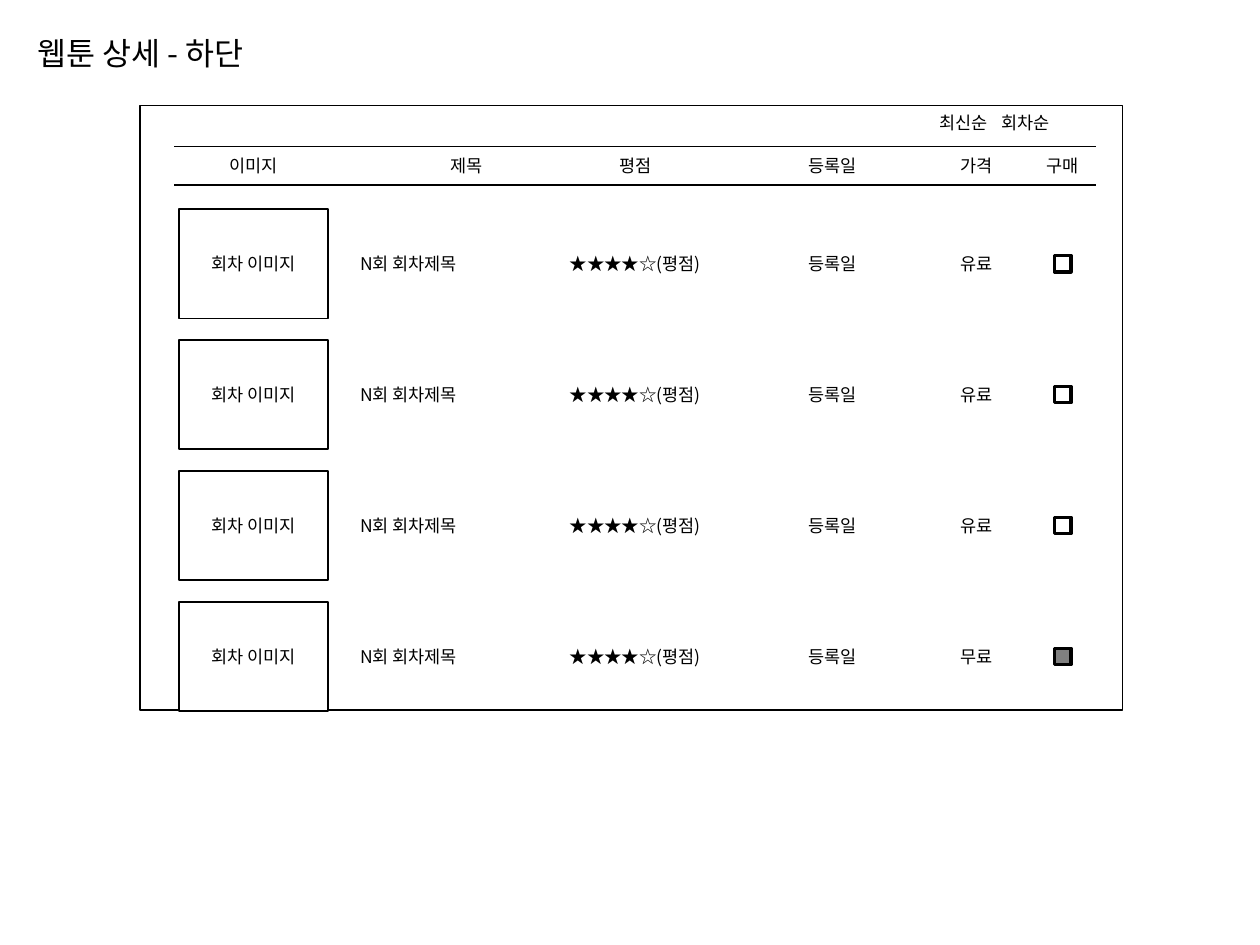
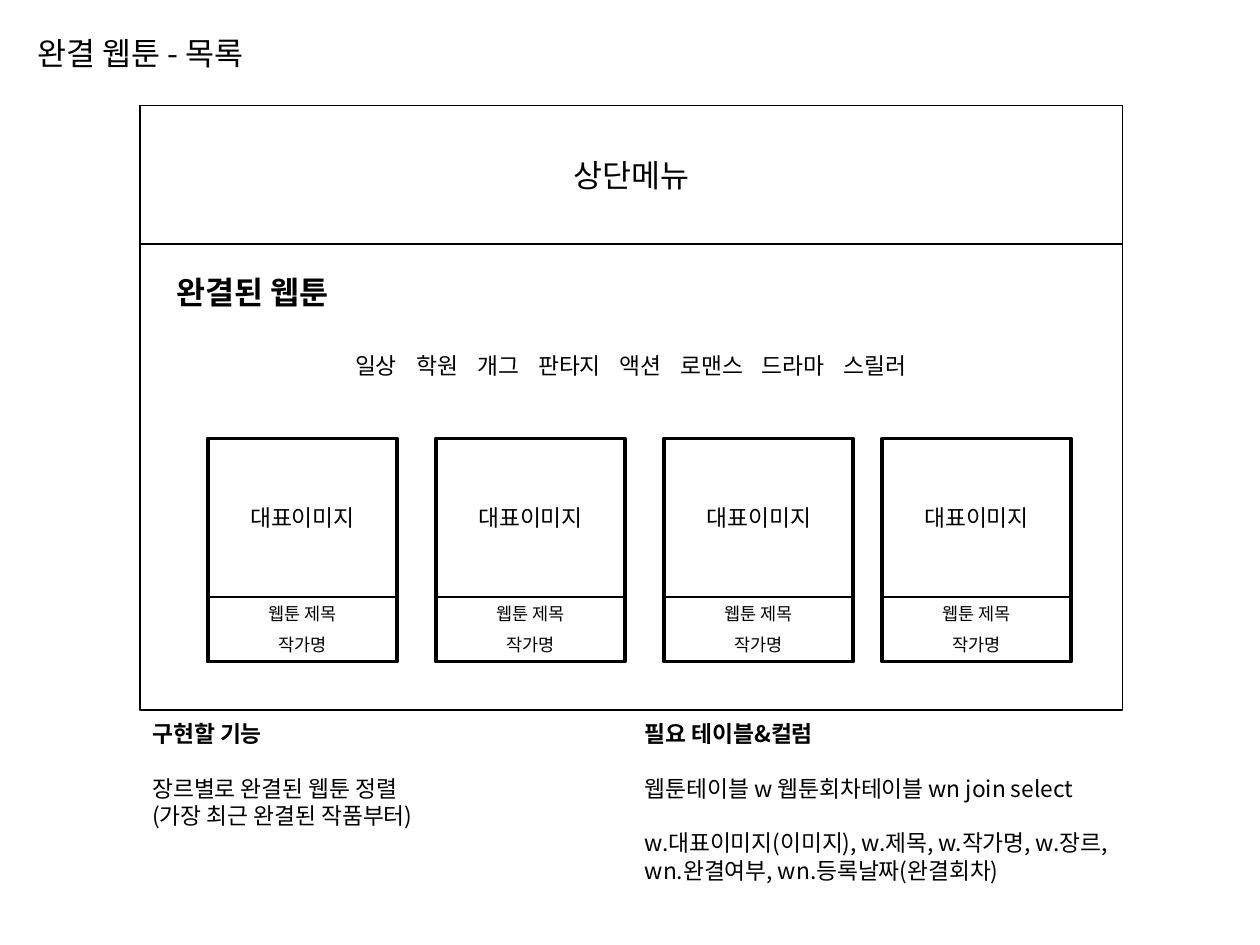
from lxml import etree
from pptx import Presentation
from pptx.dml.color import RGBColor
from pptx.enum.shapes import MSO_CONNECTOR, MSO_SHAPE
from pptx.enum.text import MSO_ANCHOR, MSO_AUTO_SIZE, PP_ALIGN
from pptx.oxml.ns import qn
from pptx.util import Cm, Pt

RECTANGLE = MSO_SHAPE.RECTANGLE
STRAIGHT = MSO_CONNECTOR.STRAIGHT
LEFT, CENTER = PP_ALIGN.LEFT, PP_ALIGN.CENTER
TOP, MIDDLE = MSO_ANCHOR.TOP, MSO_ANCHOR.MIDDLE
GROW = MSO_AUTO_SIZE.SHAPE_TO_FIT_TEXT

COLORS = {"ink": "000000", "paper": "FFFFFF", "checked": "808080"}
FONT = "Noto Sans CJK KR"
SMALL, MEDIUM, LARGE = 10, 13, 18
LINE_HEIGHT = {SMALL: 0.69, MEDIUM: 0.81, LARGE: 1.02}
BLANK_LINE = 15.7
FRAME_LEFT, FRAME_TOP, FRAME_WIDTH, FRAME_HEIGHT = 2.82, 2.13, 19.81, 12.19


def color(name):
    return RGBColor.from_string(COLORS[name])


class Wireframe:
    def __init__(self, presentation):
        self.presentation = presentation
        self.slide = None

    def page(self, title):
        layout = self.presentation.slide_layouts[6]
        self.slide = self.presentation.slides.add_slide(layout)
        self.box(FRAME_LEFT, FRAME_TOP, FRAME_WIDTH, FRAME_HEIGHT)
        self.text(0.51, 0.56, 8.41, title, size=LARGE)

    def fill_paragraph(self, paragraph, text, size, bold=False, align=LEFT, gap=0, tabs=()):
        paragraph.alignment = align
        if gap:
            paragraph.space_before = Pt(gap)
        if tabs:
            tab_list = etree.SubElement(paragraph._p.get_or_add_pPr(), qn("a:tabLst"))
            for position in tabs:
                etree.SubElement(tab_list, qn("a:tab"), pos=str(Cm(position)), algn="l")
        run = paragraph.add_run()
        run.text = text
        run.font.color.rgb = color("ink")
        for name, value in {"size": Pt(size), "bold": bold, "name": FONT}.items():
            setattr(run.font, name, value)
        etree.SubElement(run._r.get_or_add_rPr(), qn("a:ea"), typeface=FONT)

    def box(self, left, top, width, height, text="", size=SMALL, fill="paper", weight=1):
        shape = self.slide.shapes.add_shape(
            RECTANGLE, Cm(left), Cm(top), Cm(width), Cm(height))
        shape.shadow.inherit = False
        if fill:
            shape.fill.solid()
            shape.fill.fore_color.rgb = color(fill)
        else:
            shape.fill.background()
        shape.line.color.rgb = color("ink")
        shape.line.width = Pt(weight)
        if text:
            shape.text_frame.vertical_anchor = MIDDLE
            self.fill_paragraph(shape.text_frame.paragraphs[0], text, size, align=CENTER)

    def frame(self, left, top, width, height, inset=0.25):
        shape = self.slide.shapes.add_textbox(Cm(left), Cm(top), Cm(width), Cm(height))
        text_frame = shape.text_frame
        settings = {"word_wrap": True, "auto_size": GROW,
                    "vertical_anchor": TOP, "margin_left": Cm(inset)}
        for name, value in settings.items():
            setattr(text_frame, name, value)
        return text_frame

    def text(self, left, top, width, text, size=SMALL, inset=0.25, **style):
        text_frame = self.frame(left, top, width, LINE_HEIGHT[size], inset)
        self.fill_paragraph(text_frame.paragraphs[0], text, size, **style)

    def note(self, left, width, height, heading, blocks):
        text_frame = self.frame(left, 14.38, width, height)
        self.fill_paragraph(text_frame.paragraphs[0], heading, MEDIUM, bold=True)
        for block in blocks:
            for index, line in enumerate(block):
                gap = 0 if index else BLANK_LINE
                self.fill_paragraph(text_frame.add_paragraph(), line, MEDIUM, gap=gap)

    def rule(self, left, right, y):
        line = self.slide.shapes.add_connector(
            STRAIGHT, Cm(left), Cm(y), Cm(right), Cm(y))
        line.line.color.rgb = color("ink")
        line.line.width = Pt(0.75)
        etree.SubElement(line._element.spPr, qn("a:effectLst"))


def episode_list(wireframe):
    wireframe.page("웹툰 상세 - 하단")
    wireframe.text(18.69, FRAME_TOP, 3.4, "최신순\t회차순", tabs=[1.25])
    for y in (2.95, 3.73):
        wireframe.rule(3.51, 22.1, y)

    columns = {"이미지": (3.61, 3.0), "제목": (7.01, 4.8), "평점": (10.9, 3.81),
               "등록일": (15.09, 3.4), "가격": (18.49, 2.41), "구매": (20.22, 2.41)}
    for heading, (left, width) in columns.items():
        wireframe.text(left, 3.0, width, heading, align=CENTER)

    for row, price in enumerate(["유료", "유료", "유료", "무료"]):
        top = 4.22 + row * 2.64
        image_left, image_width = columns["이미지"]
        wireframe.box(image_left, top, image_width, 2.2, "회차 이미지")
        cells = {"제목": ("N회 회차제목", LEFT), "평점": ("★★★★☆(평점)", CENTER),
                 "등록일": ("등록일", CENTER), "가격": (price, CENTER)}
        for heading, (value, align) in cells.items():
            left, width = columns[heading]
            wireframe.text(left, top + 0.76, width, value, align=align)
        fill = "checked" if price == "무료" else "paper"
        wireframe.box(21.26, top + 0.93, 0.33, 0.33, fill=fill, weight=2)


def finished_list(wireframe):
    wireframe.page("완결 웹툰 - 목록")
    wireframe.box(FRAME_LEFT, FRAME_TOP, FRAME_WIDTH, 2.79, "상단메뉴", LARGE)
    wireframe.text(3.3, 5.38, 4.09, "완결된 웹툰", size=LARGE, bold=True)

    genres = ["일상", "학원", "개그", "판타지", "액션", "로맨스", "드라마", "스릴러"]
    tabs, position = [], 0
    for genre in genres[:-1]:
        position += 0.41 * len(genre) + 0.41
        tabs.append(position)
    wireframe.text(4.52, 6.96, 16.41, "\t".join(genres), size=MEDIUM, inset=2.64, tabs=tabs)

    card_top, card_width = 8.84, 3.81
    for left in (4.19, 8.79, 13.39, 17.78):
        wireframe.box(left, card_top, card_width, 3.2, "대표이미지", MEDIUM)
        wireframe.text(left, 12.04, card_width, "웹툰 제목", align=CENTER)
        wireframe.text(left, 12.65, card_width, "작가명", align=CENTER)
        wireframe.box(left, card_top, card_width, 4.5, fill=None, weight=2)

    wireframe.note(FRAME_LEFT, 9.9, 3.02, "구현할 기능", [
        ["장르별로 완결된 웹툰 정렬", "(가장 최근 완결된 작품부터)"]])
    wireframe.note(12.75, 9.88, 4.14, "필요 테이블&컬럼", [
        ["웹툰테이블 w 웹툰회차테이블 wn join select"],
        ["w.대표이미지(이미지), w.제목, w.작가명, w.장르,",
         "wn.완결여부, wn.등록날짜(완결회차)"]])


def main():
    presentation = Presentation()
    presentation.slide_width = Cm(25.4)
    presentation.slide_height = Cm(19.05)
    wireframe = Wireframe(presentation)
    episode_list(wireframe)
    finished_list(wireframe)
    presentation.save("out.pptx")


if __name__ == "__main__":
    main()
